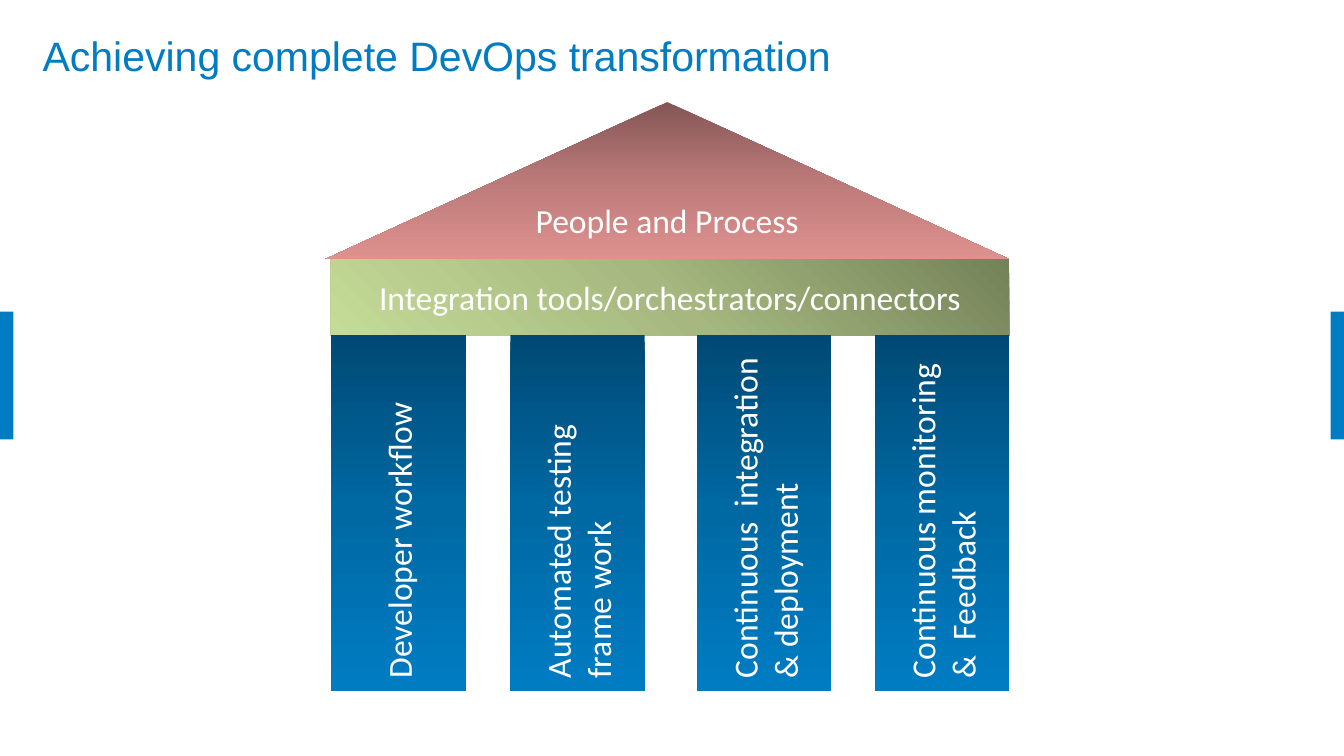
"""Build the DevOps transformation temple slide."""
from copy import deepcopy
from dataclasses import dataclass

from pptx import Presentation
from pptx.dml.color import RGBColor
from pptx.enum.shapes import MSO_SHAPE
from pptx.enum.text import MSO_ANCHOR, PP_ALIGN
from pptx.oxml.ns import qn
from pptx.util import Pt


@dataclass(frozen=True)
class Theme:
    accent: str = "007CC3"
    light: str = "FFFFFF"
    roof: tuple = ("845655", "BB7A79", "DE918F")
    beam: tuple = ("748259", "A6B87F", "C5DB97")
    pillar: tuple = ("004974", "0069A4", "007CC3")
    head_font: str = "Arial"
    body_font: str = "Calibri"
    head_size: int = 22
    body_size: int = 18


class Painter:
    def __init__(self, theme, slide):
        self.theme = theme
        self.slide = slide

    def label(self, frame, text, font, size, color, align):
        frame.word_wrap = True
        frame.vertical_anchor = MSO_ANCHOR.MIDDLE
        para = frame.paragraphs[0]
        para.alignment = align
        run = para.add_run()
        run.text = text
        run.font.name = font
        run.font.size = Pt(size)
        run.font.color.rgb = RGBColor.from_string(color)

    def title(self, text, *box):
        frame = self.slide.shapes.add_textbox(*map(Pt, box)).text_frame
        theme = self.theme
        self.label(frame, text, theme.head_font, theme.head_size,
                   theme.accent, PP_ALIGN.LEFT)

    def shape(self, kind, *box):
        shape = self.slide.shapes.add_shape(kind, *map(Pt, box))
        shape.shadow.inherit = False
        shape.line.fill.background()
        return shape

    def tab(self, *box):
        fill = self.shape(MSO_SHAPE.RECTANGLE, *box).fill
        fill.solid()
        fill.fore_color.rgb = RGBColor.from_string(self.theme.accent)

    def shade(self, shape, colors, angle):
        fill = shape.fill
        fill.gradient()
        fill.gradient_angle = angle
        stops = next(shape._element.spPr.iter(qn("a:gsLst")))
        stops.append(deepcopy(stops[0]))
        for rank, (stop, color) in enumerate(zip(fill.gradient_stops, colors)):
            stop.position = rank / 2
            stop.color.rgb = RGBColor.from_string(color)

    def block(self, kind, text, colors, box, angle=270, upright=False):
        shape = self.shape(kind, *box)
        self.shade(shape, colors, angle)
        frame = shape.text_frame
        frame.margin_left = frame.margin_right = Pt(3.6)
        frame.margin_top = frame.margin_bottom = Pt(3.6)
        if upright:
            frame._txBody.bodyPr.set("vert", "vert270")
        theme = self.theme
        self.label(frame, text, theme.body_font, theme.body_size, theme.light,
                   PP_ALIGN.LEFT if upright else PP_ALIGN.CENTER)


def main():
    deck = Presentation()
    deck.slide_width, deck.slide_height = Pt(720), Pt(405)
    theme = Theme()
    paint = Painter(theme, deck.slides.add_slide(deck.slide_layouts[6]))

    for left in (712.8, 0):
        paint.tab(left, 167, 7.2, 68.4)
    paint.title("Achieving complete DevOps transformation", 15.8, 11.5, 687, 36)
    paint.block(MSO_SHAPE.ISOSCELES_TRIANGLE, "People and Process", theme.roof,
                (174.2, 54.7, 366.5, 84.2))
    paint.block(MSO_SHAPE.RECTANGLE, "Integration tools/orchestrators/connectors",
                theme.beam, (177.1, 138.9, 363.6, 41), angle=225)

    pillars = (
        ("Developer workflow", 177.1, 72.7),
        ("Automated testing frame work", 273.4, 72),
        ("Continuous  integration & deployment", 373.5, 72),
        ("Continuous monitoring &  Feedback", 468.7, 72),
    )
    for text, left, width in pillars:
        paint.block(MSO_SHAPE.RECTANGLE, text, theme.pillar,
                    (left, 179.5, width, 191), upright=True)
    deck.save("out.pptx")


if __name__ == "__main__":
    main()
